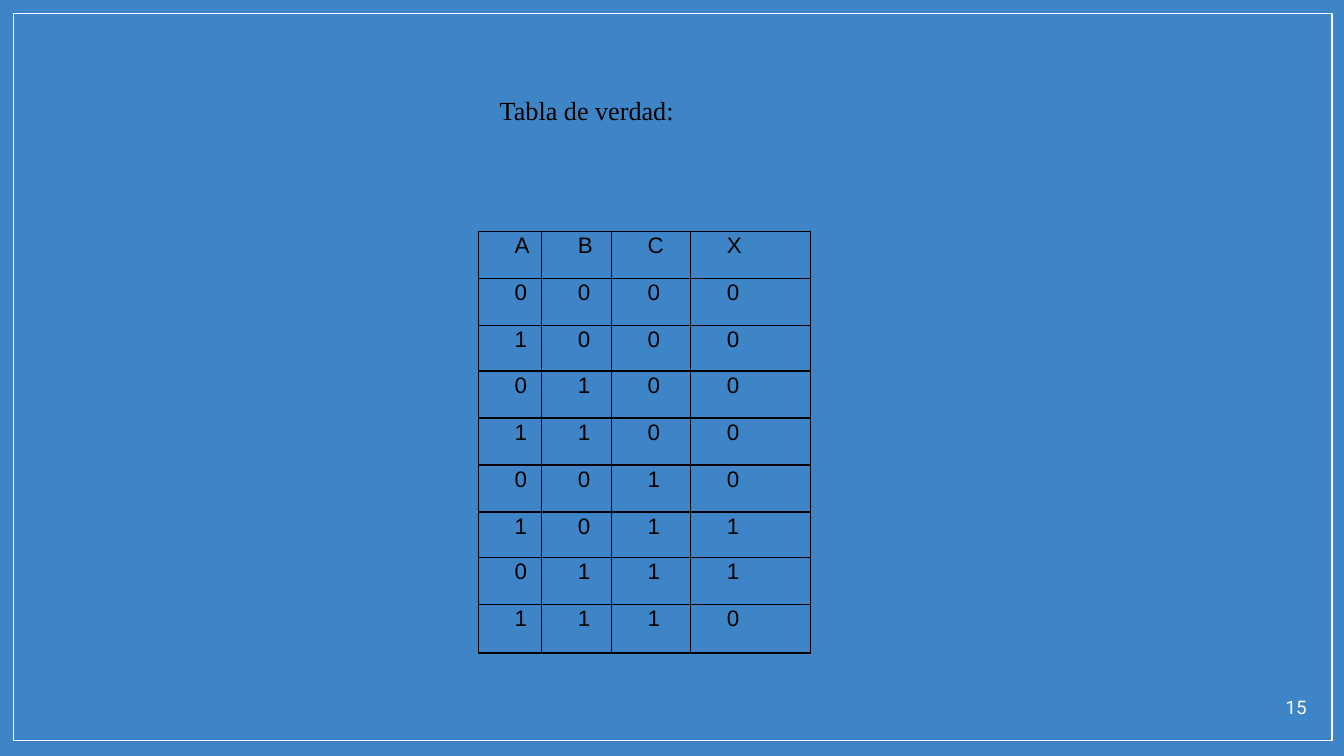
from lxml.etree import SubElement
from pptx import Presentation
from pptx.dml.color import RGBColor
from pptx.enum.shapes import MSO_SHAPE
from pptx.enum.text import PP_ALIGN
from pptx.oxml.ns import qn
from pptx.util import Inches, Pt

COLORS = {"background": "3D85C6", "frame": "FFFFFF", "number": "FFFFFF",
          "text": "000000", "border": "000000"}
COLUMNS = [0.47, 0.52, 0.59, 0.89]
ROWS = [0.35, 0.35, 0.34, 0.35, 0.35, 0.35, 0.34, 0.35, 0.36]


def color(name):
    """Return the named colour."""
    return RGBColor.from_string(COLORS[name])


def write(tf, text, font, size, fill, indent=0, margins=None, **formats):
    """Write one formatted paragraph into a text frame."""
    tf.word_wrap = True
    for side, value in (margins or {}).items():
        setattr(tf, f"margin_{side}", Inches(value))
    p = tf.paragraphs[0]
    for name, value in formats.items():
        setattr(p, name, value)
    if indent:
        pPr = p._p.get_or_add_pPr()
        pPr.set("marL", str(Inches(indent)))
        pPr.set("indent", "0")
    r = p.add_run()
    r.text = text
    for name, value in {"name": font, "size": Pt(size)}.items():
        setattr(r.font, name, value)
    r.font.color.rgb = color(fill)


def add_frame(s, *box):
    """Draw the thin outline around the slide."""
    sp = s.shapes.add_shape(MSO_SHAPE.RECTANGLE, *map(Inches, box))
    sp.shadow.inherit = False
    sp.fill.background()
    sp.line.color.rgb = color("frame")
    sp.line.width = Pt(0.75)


def add_text(s, box, *args, **formats):
    """Add a text box with one paragraph."""
    write(s.shapes.add_textbox(*map(Inches, box)).text_frame, *args, **formats)


def add_borders(cell):
    """Draw a thin line on each side of a cell."""
    tcPr = cell._tc.get_or_add_tcPr()
    for side in ("lnL", "lnR", "lnT", "lnB"):
        ln = SubElement(tcPr, qn(f"a:{side}"), w=str(Pt(0.75)))
        fill = SubElement(ln, qn("a:solidFill"))
        SubElement(fill, qn("a:srgbClr"), val=COLORS["border"])


def truth_rows():
    """Return the header and the rows of X = C and (A xor B)."""
    rows = [["A", "B", "C", "X"]]
    for n in range(8):
        a, b, c = (n >> bit & 1 for bit in range(3))
        rows.append([a, b, c, c & (a ^ b)])
    return rows


def add_truth_table(s, left, top):
    """Add the truth table with bordered, unfilled cells."""
    table = s.shapes.add_table(len(ROWS), len(COLUMNS), Inches(left), Inches(top),
                               Inches(sum(COLUMNS)), Inches(sum(ROWS))).table
    table.first_row = table.horz_banding = False
    for column, width in zip(table.columns, COLUMNS):
        column.width = Inches(width)
    for row, height, values in zip(table.rows, ROWS, truth_rows()):
        row.height = Inches(height)
        for cell, value in zip(row.cells, values):
            for side, margin in {"left": 0.07, "right": 0.07, "top": 0, "bottom": 0}.items():
                setattr(cell, f"margin_{side}", Inches(margin))
            add_borders(cell)
            cell.fill.background()
            write(cell.text_frame, str(value), "Arial", 12, "text",
                  indent=0.2, line_spacing=1.07)


def main():
    """Build the slide and save it."""
    prs = Presentation()
    prs.slide_width = Inches(10)
    prs.slide_height = prs.slide_width * 9 // 16
    s = prs.slides.add_slide(prs.slide_layouts[6])
    s.background.fill.solid()
    s.background.fill.fore_color.rgb = color("background")
    add_frame(s, 0.1, 0.1, 9.81, 5.41)
    add_text(s, (9.32, 5.09, 0.5, 0.32), "15", "Roboto", 10, "number",
             margins=dict.fromkeys(("left", "right", "top", "bottom"), 0.1),
             alignment=PP_ALIGN.RIGHT)
    add_truth_table(s, 3.56, 1.72)
    add_text(s, (3.42, 0.62, 2.66, 0.37), "Tabla de verdad:", "Times New Roman", 14, "text",
             indent=0.2, line_spacing=1.15, space_after=Pt(8))
    prs.save("out.pptx")


if __name__ == "__main__":
    main()
